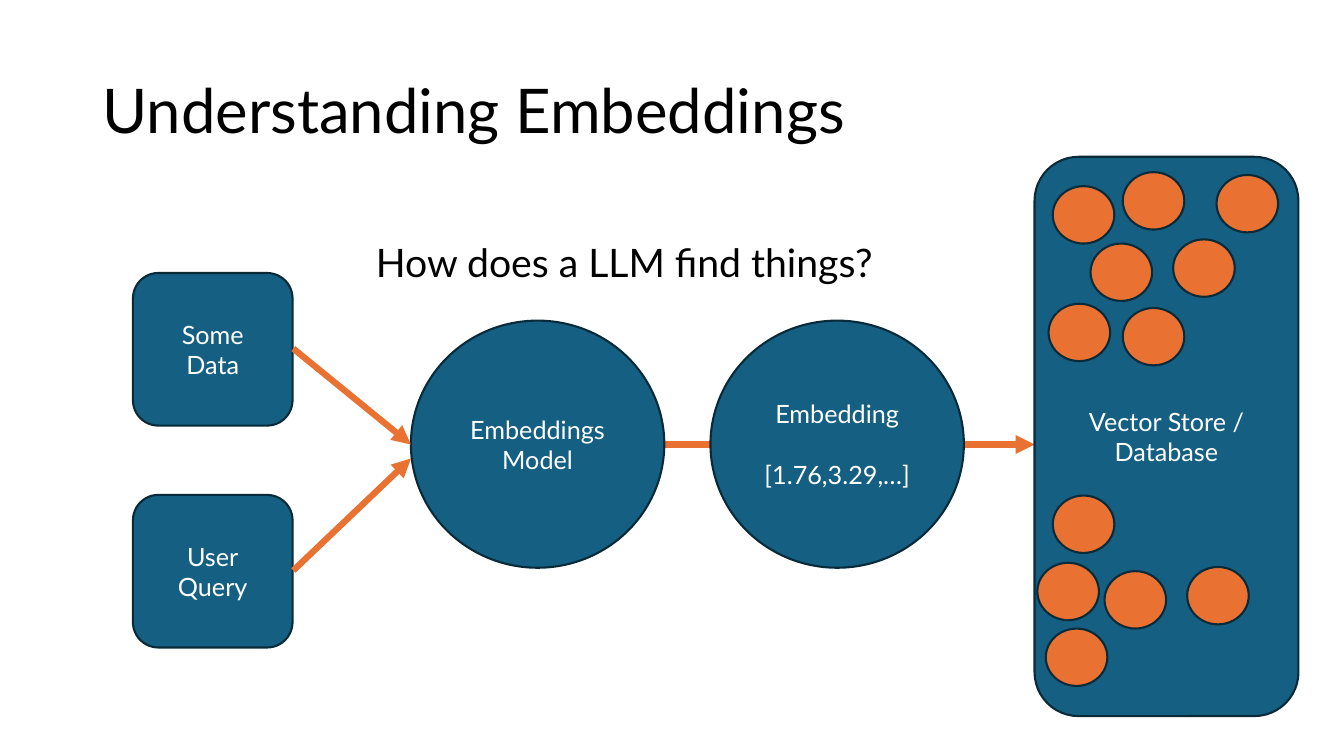
from lxml import etree
from pptx import Presentation
from pptx.dml.color import RGBColor
from pptx.enum import shapes, text
from pptx.oxml.ns import qn
from pptx.util import Pt

BLUE = RGBColor(0x15, 0x60, 0x82)
NAVY = RGBColor(0x09, 0x2A, 0x39)
ORANGE = RGBColor(0xE9, 0x71, 0x32)
WHITE = RGBColor(0xFF, 0xFF, 0xFF)
BLACK = RGBColor(0, 0, 0)
OVAL = shapes.MSO_SHAPE.OVAL
ROUND = shapes.MSO_SHAPE.ROUNDED_RECTANGLE
LEFT, CENTER = text.PP_ALIGN.LEFT, text.PP_ALIGN.CENTER
TOP, MIDDLE = text.MSO_ANCHOR.TOP, text.MSO_ANCHOR.MIDDLE

DOTS = [(752, 133), (779, 174), (802, 123), (869, 125), (802, 220),
        (838, 171), (749, 217), (752, 354), (747, 449), (789, 408),
        (848, 405), (741, 402)]


def style(obj, **values):
    """Set each named value on an object."""
    for name, value in values.items():
        setattr(obj, name, value)


def write(shape, lines, size, color, align, anchor, gap=0):
    """Fill a shape with one paragraph per line, gap points apart."""
    frame = shape.text_frame
    style(frame, text="\n".join(lines), word_wrap=True, vertical_anchor=anchor)
    for i, para in enumerate(frame.paragraphs):
        style(para, alignment=align, space_before=Pt(gap if i else 0))
        style(para.font, name="Lato", size=Pt(size), bold=False)
        para.font.color.rgb = color


def add_node(slide, kind, box, fill, lines=(), gap=0):
    """Add an outlined shape with optional centred text."""
    node = slide.shapes.add_shape(kind, *map(Pt, box))
    node.shadow.inherit = False
    node.fill.solid()
    node.fill.fore_color.rgb = fill
    node.line.color.rgb = NAVY
    node.line.width = Pt(1.5)
    if lines:
        write(node, lines, 18, WHITE, CENTER, MIDDLE, gap)


def add_arrow(slide, *ends):
    """Add a thick orange arrow between two points."""
    arrow = slide.shapes.add_connector(
        shapes.MSO_CONNECTOR.STRAIGHT, *map(Pt, ends))
    arrow.line.color.rgb = ORANGE
    arrow.line.width = Pt(4.5)
    line = arrow.line._get_or_add_ln()
    etree.SubElement(line, qn("a:tailEnd"), type="triangle")
    etree.SubElement(arrow._element.spPr, qn("a:effectLst"))


def add_title(slide, words):
    """Place and format the title."""
    title = slide.shapes.title
    style(title, left=Pt(66), top=Pt(29), width=Pt(828), height=Pt(104))
    write(title, [words], 44, BLACK, LEFT, MIDDLE)
    title.text_frame.paragraphs[0].line_spacing = 0.9


def add_label(slide, words, box):
    """Add a line of free text."""
    label = slide.shapes.add_textbox(*map(Pt, box))
    write(label, [words], 28, BLACK, LEFT, TOP)


def main():
    """Build and save the slide."""
    deck = Presentation()
    style(deck, slide_width=Pt(960), slide_height=Pt(540))
    slide = deck.slides.add_slide(deck.slide_layouts[5])
    add_title(slide, "Understanding Embeddings")
    add_arrow(slide, 474, 317.5, 739, 317.5)
    add_node(slide, OVAL, (507.5, 229, 181, 176.5), BLUE,
             ["Embedding", "[1.76,3.29,…]"], gap=21.6)
    add_node(slide, OVAL, (293.5, 229, 181, 176.5), BLUE,
             ["Embeddings", "Model"])
    for top, lines in ((195, ["Some", "Data"]), (353.5, ["User", "Query"])):
        add_node(slide, ROUND, (95, top, 114, 109), BLUE, lines)
    add_node(slide, ROUND, (739, 112, 188.5, 399.5), BLUE,
             ["Vector Store / Database"])
    for spot in DOTS:
        add_node(slide, OVAL, (*spot, 44, 41), ORANGE)
    add_arrow(slide, 209.5, 407.5, 293.5, 327.5)
    add_arrow(slide, 209.5, 249, 293.5, 317.5)
    add_label(slide, "How does a LLM find things?", (261.5, 166.5, 413, 41))
    deck.save("out.pptx")


if __name__ == "__main__":
    main()
